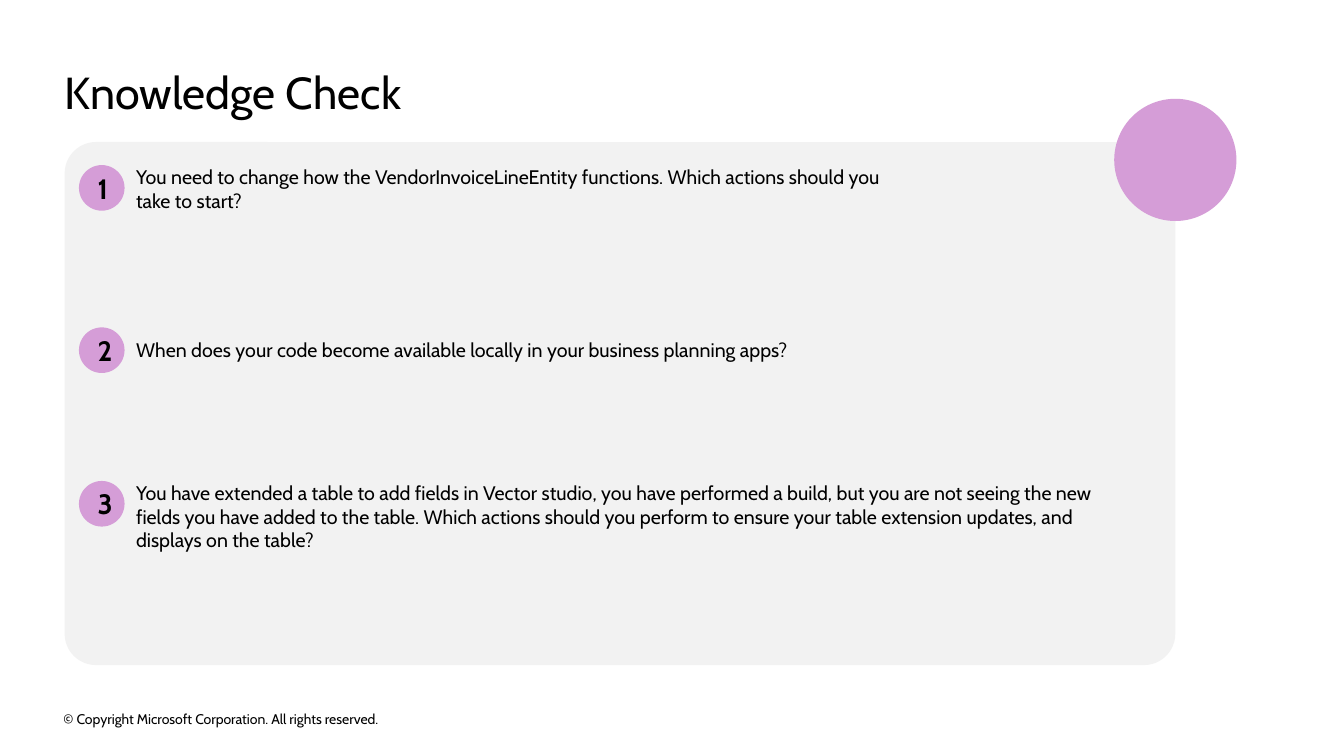
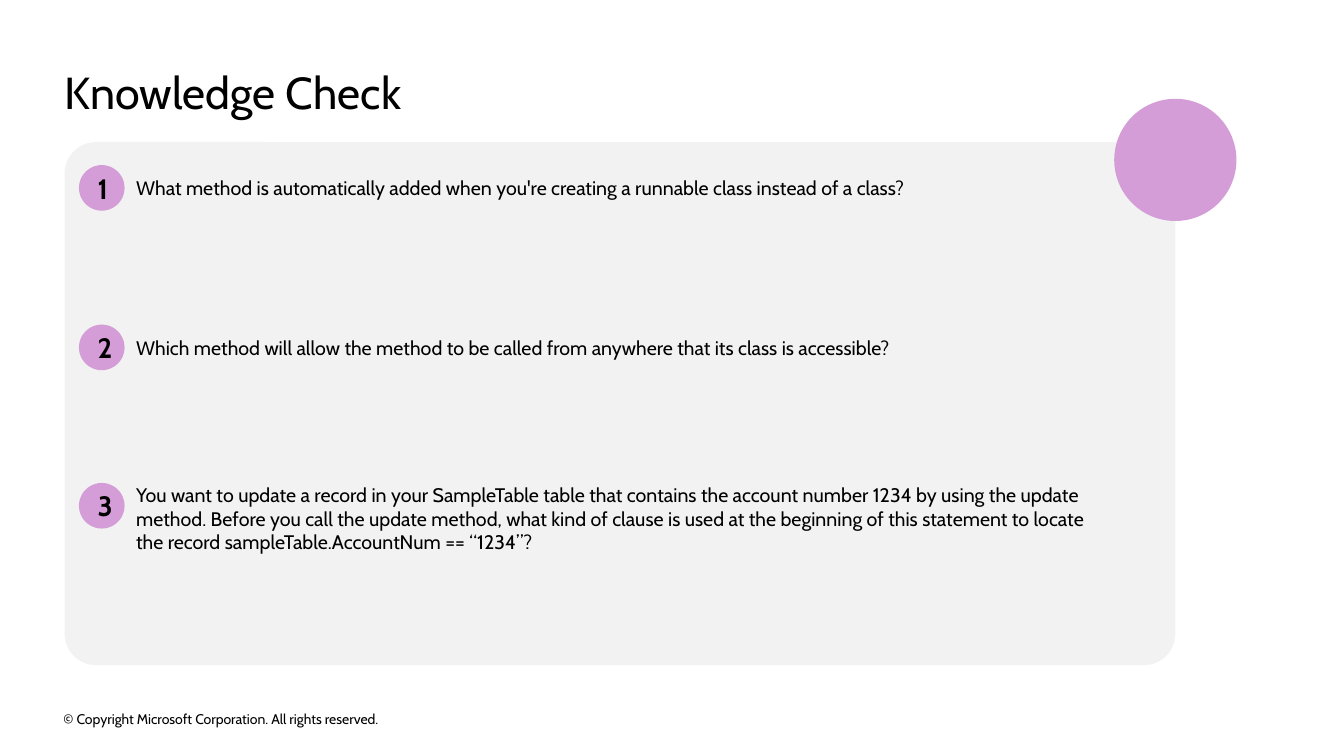
from pptx import Presentation
from pptx.dml.color import RGBColor
from pptx.enum.shapes import MSO_SHAPE
from pptx.enum.text import MSO_ANCHOR, PP_ALIGN
from pptx.util import Cm, Pt

COLOURS = {"text": "000000", "panel": "F2F2F2", "accent": "D59DD7"}
FONT = "Cabin"
TITLE = "Knowledge Check"
COPYRIGHT = "© Copyright Microsoft Corporation. All rights reserved."
TITLE_BOX = (1.63, 1.63, 30.58, 1.37)
PANEL_BOX = (1.63, 3.58, 27.99, 13.18)
FOOTER_BOX = (1.6, 17.83, 11.53, 0.56)
CORNER_SIZE = 3.08
CORNER_TOP = -1.09
BADGE_LEFT = 0.36
BADGE_SIZE = 1.15
QUESTION_LEFT = 1.8
QUESTION_WIDTH = 24.38
LINE_HEIGHT = 0.6

CHECKS = [
    [
        (0.58, 2, ["You need to change how the VendorInvoiceLineEntity functions. "
                   "Which actions should you", "take to start?"]),
        (4.67, 1, ["When does your code become available locally in your business "
                   "planning apps?"]),
        (8.54, 3, ["You have extended a table to add fields in Vector studio, you have "
                   "performed a build, but you are not seeing the new fields you have "
                   "added to the table. Which actions should you perform to ensure your "
                   "table extension updates, and displays on the table?"]),
    ],
    [
        (0.58, 1, ["What method is automatically added when you're creating a runnable "
                   "class instead of a class?"]),
        (4.6, 1, ["Which method will allow the method to be called from anywhere that "
                  "its class is accessible?"]),
        (8.59, 3, ["You want to update a record in your SampleTable table that contains "
                   "the account number 1234 by using the update method. Before you call "
                   "the update method, what kind of clause is used at the beginning of "
                   "this statement to locate the record sampleTable.AccountNum == "
                   "“1234”?"]),
    ],
]


def write(frame, lines, size, bold=False, inset=(0, 0), anchor=MSO_ANCHOR.TOP,
          align=PP_ALIGN.LEFT):
    """Fill a text frame with one paragraph, broken between the given lines."""
    frame.word_wrap = True
    frame.vertical_anchor = anchor
    frame.margin_left = frame.margin_right = Cm(inset[0])
    frame.margin_top = frame.margin_bottom = Cm(inset[1])
    paragraph = frame.paragraphs[0]
    paragraph.alignment = align
    for index, line in enumerate(lines):
        if index:
            paragraph.add_line_break()
        run = paragraph.add_run()
        run.text = line
        run.font.name = FONT
        run.font.size = Pt(size)
        run.font.bold = bold
        run.font.color.rgb = RGBColor.from_string(COLOURS["text"])


def add_text(slide, box, lines, size, **style):
    """Place a text box at a box given in centimetres."""
    area = slide.shapes.add_textbox(*map(Cm, box))
    write(area.text_frame, lines, size, **style)


def add_filled(slide, preset, box, colour):
    """Place a flat preset shape without outline or shadow."""
    shape = slide.shapes.add_shape(preset, *map(Cm, box))
    shape.shadow.inherit = False
    shape.fill.solid()
    shape.fill.fore_color.rgb = RGBColor.from_string(COLOURS[colour])
    shape.line.fill.background()
    return shape


def add_panel(slide, box):
    """Draw the rounded panel and the circle centred on its right edge."""
    left, top, width, _ = box
    panel = add_filled(slide, MSO_SHAPE.ROUNDED_RECTANGLE, box, "panel")
    panel.adjustments[0] = 0.06
    circle_left = left + width - CORNER_SIZE / 2
    add_filled(slide, MSO_SHAPE.OVAL,
               (circle_left, top + CORNER_TOP, CORNER_SIZE, CORNER_SIZE), "accent")


def add_question(slide, left, top, number, line_count, lines):
    """Draw a numbered badge with its question, centred on it when it is short."""
    badge = add_filled(slide, MSO_SHAPE.OVAL,
                       (left + BADGE_LEFT, top, BADGE_SIZE, BADGE_SIZE), "accent")
    write(badge.text_frame, [str(number)], 20, bold=True, inset=(0.51, 0.41),
          anchor=MSO_ANCHOR.MIDDLE, align=PP_ALIGN.CENTER)
    height = line_count * LINE_HEIGHT
    question_top = top + max(0, (BADGE_SIZE - height) / 2)
    add_text(slide, (left + QUESTION_LEFT, question_top, QUESTION_WIDTH, height), lines, 14)


def add_check_slide(deck, questions):
    """Build one knowledge check slide from its questions."""
    slide = deck.slides.add_slide(deck.slide_layouts[6])
    add_text(slide, FOOTER_BOX, [COPYRIGHT], 10, anchor=MSO_ANCHOR.MIDDLE)
    add_panel(slide, PANEL_BOX)
    add_text(slide, TITLE_BOX, [TITLE], 32)
    left, top = PANEL_BOX[:2]
    for number, (offset, line_count, lines) in enumerate(questions, 1):
        add_question(slide, left, top + offset, number, line_count, lines)


def main():
    """Build and save the deck."""
    deck = Presentation()
    deck.slide_width, deck.slide_height = Cm(33.87), Cm(19.05)
    for questions in CHECKS:
        add_check_slide(deck, questions)
    deck.save("out.pptx")


if __name__ == "__main__":
    main()
